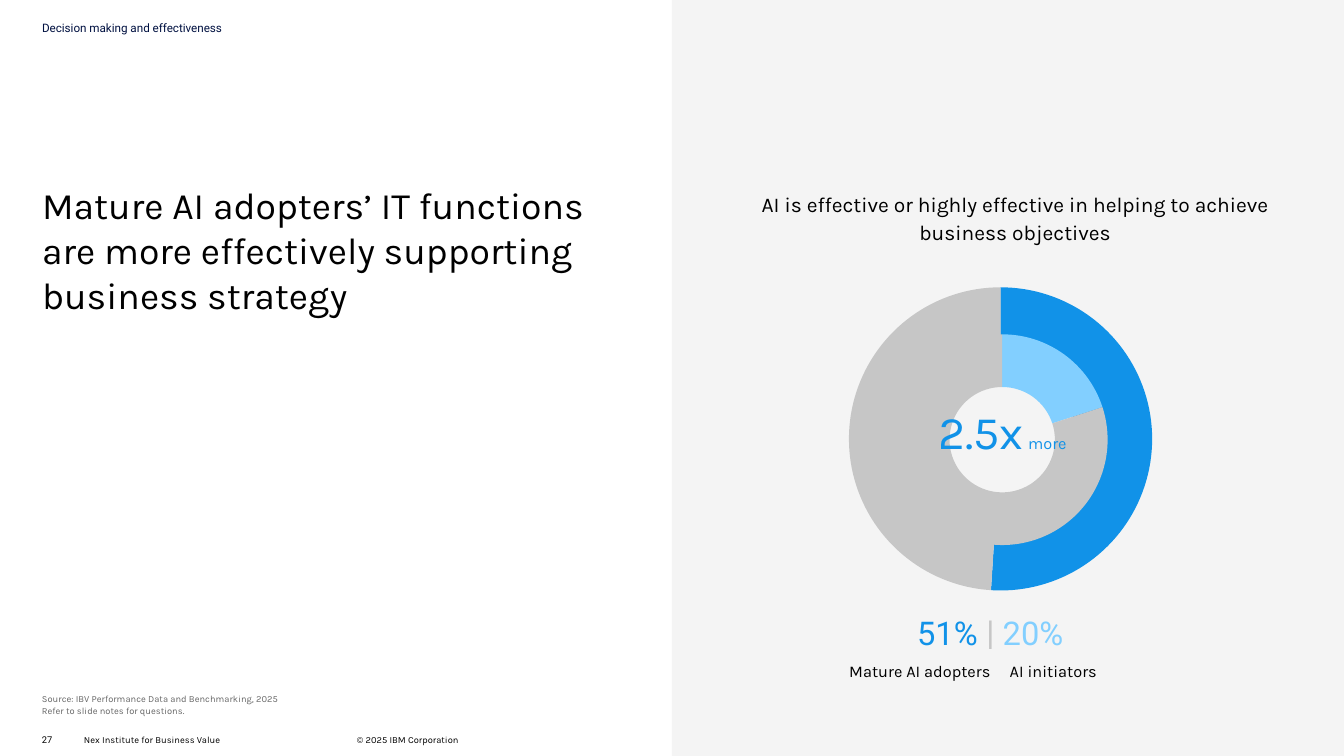
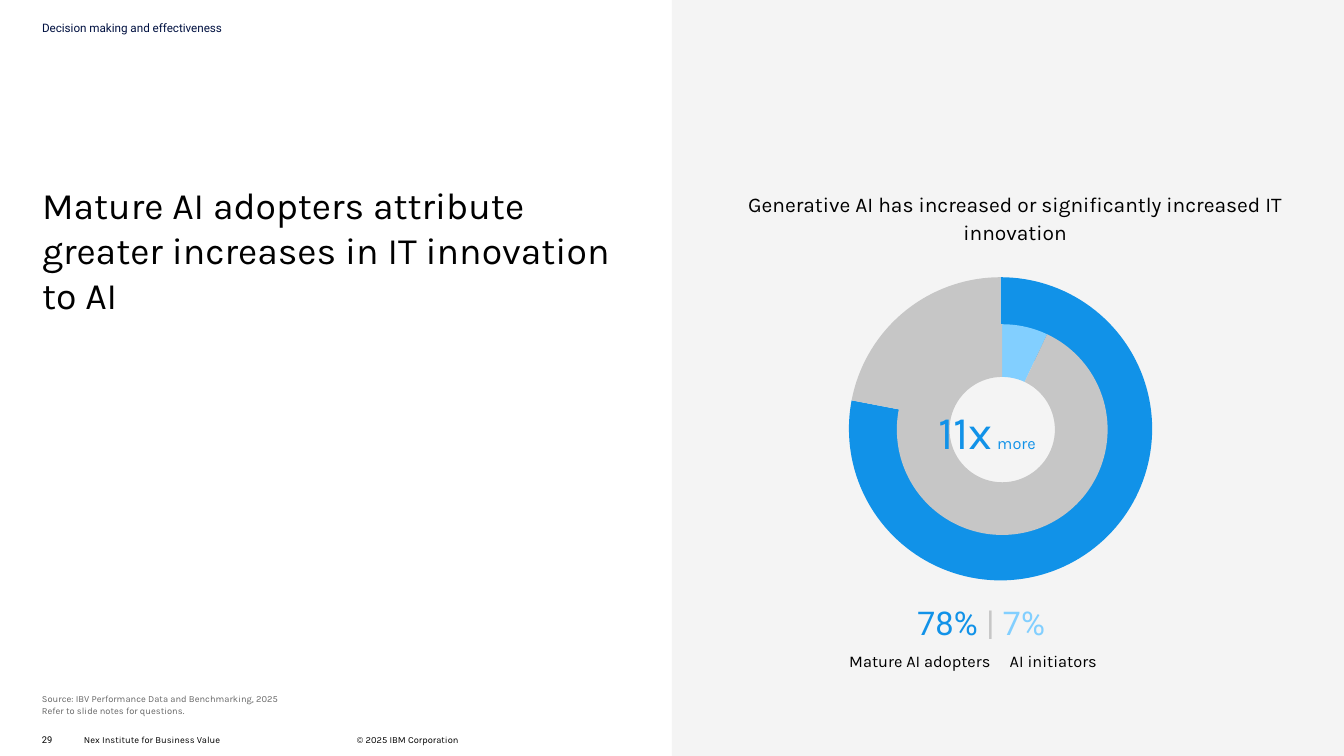
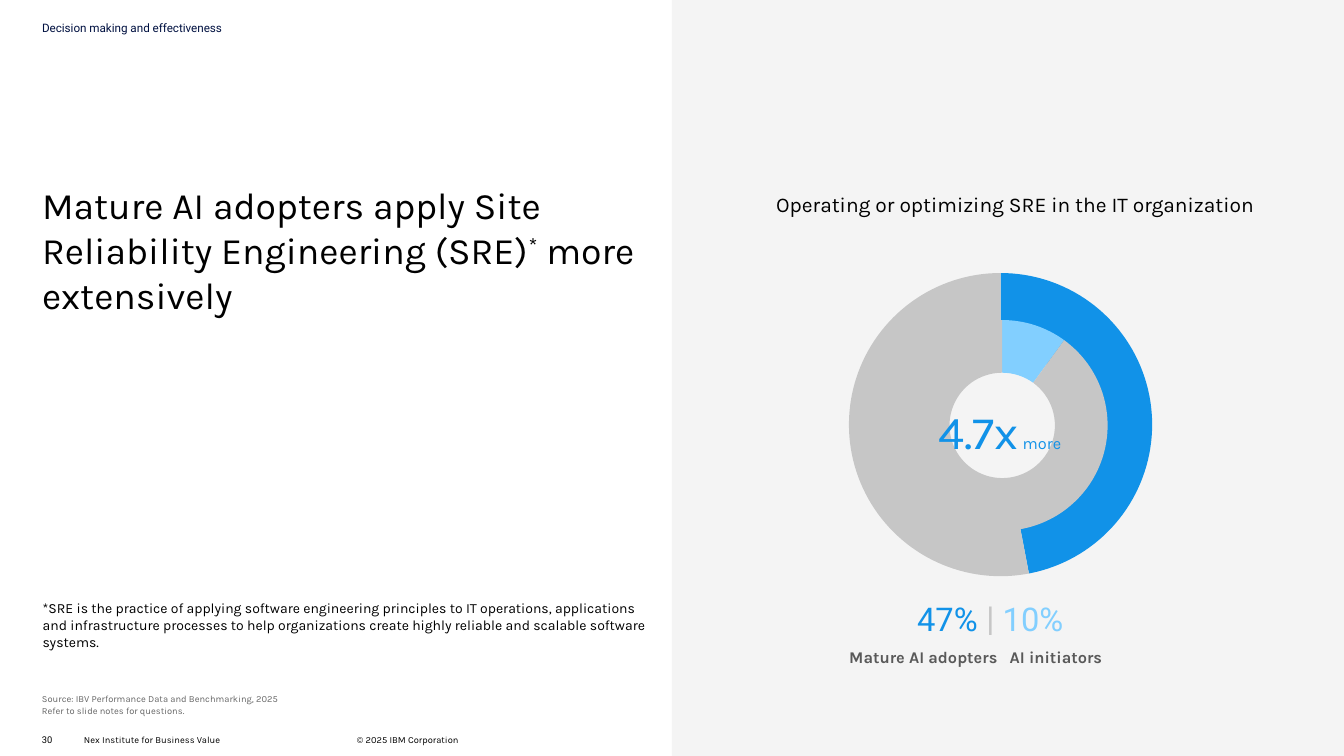
from lxml.etree import fromstring
from pptx import Presentation
from pptx.chart.data import CategoryChartData as Data
from pptx.dml.color import RGBColor
from pptx.enum.chart import XL_CHART_TYPE as Chart
from pptx.enum.shapes import MSO_SHAPE as Shape
from pptx.enum.text import MSO_ANCHOR as Anchor, MSO_AUTO_SIZE as Fit, PP_ALIGN as Align
from pptx.oxml.ns import nsdecls, qn
from pptx.util import Inches, Pt

# Shared colours and text styles
color = RGBColor.from_string
BLACK, GREY, PANEL = "000000", "C6C6C6", "F4F4F4"
BLUE, SKY = "1192E8", "82CFFF"
BASE = dict(size=Pt(14), name="Karla", color=BLACK)
HEAD = dict(size=Pt(32))
NOTE = dict(size=Pt(8), color="666666")
FOOT = dict(size=Pt(8))
PAGE = dict(size=Pt(8), name="Roboto")
TOPIC = dict(size=Pt(10), name="Roboto", color="001141")
LEAD = dict(size=Pt(18))
SMALL = dict(size=Pt(12))
STAT = dict(size=Pt(28), name="Roboto")
FACTOR = dict(size=Pt(40), color=BLUE)
PLAIN, STRONG = {}, dict(bold=True, color="595959")

# Slide contents
SLIDES = [
    dict(page="27", top=3.42, vals=(51, 20), factor="2.5x", label=PLAIN, foot="",
         title=["Mature AI adopters’ IT functions are more effectively supporting business strategy"],
         lead="AI is effective or highly effective in helping to achieve business objectives"),
    dict(page="29", top=3.3, vals=(78, 7), factor="11x", label=PLAIN, foot="",
         title=["Mature AI adopters attribute greater increases in IT innovation to AI"],
         lead="Generative AI has increased or significantly increased IT innovation"),
    dict(page="30", top=3.25, vals=(47, 10), factor="4.7x", label=STRONG,
         title=["Mature AI adopters apply Site Reliability Engineering (SRE)", "*", " more extensively"],
         lead="Operating or optimizing SRE in the IT organization",
         foot="*SRE is the practice of applying software engineering principles to IT operations, "
              "applications and infrastructure processes to help organizations create highly "
              "reliable and scalable software systems."),
]


def write(shape, box, paras, inset=(0, 0), anchor=Anchor.TOP, align=Align.LEFT, line=1.0):
    """Place a shape and fill it; each paragraph is a list of (text, style) runs."""
    shape.left, shape.top, shape.width, shape.height = map(Inches, box)
    frame = shape.text_frame
    frame.margin_left = frame.margin_right = Inches(inset[0])
    frame.margin_top = frame.margin_bottom = Inches(inset[1])
    frame.word_wrap, frame.auto_size, frame.vertical_anchor = True, Fit.NONE, anchor
    for i, runs in enumerate(paras):
        para = frame.add_paragraph() if i else frame.paragraphs[0]
        para.alignment, para.line_spacing = align, line
        para.space_before = Pt(0)
        for text, style in runs:
            run = para.add_run()
            run.text = text
            for key, val in {**BASE, **style}.items():
                if key == "color":
                    run.font.color.rgb = color(val)
                else:
                    setattr(run.font, key, val)


def ring(slide, box, value, fill, hole):
    """Add a clear-backed doughnut showing one share of 100."""
    data = Data()
    data.categories = ["1", "2"]
    data.add_series("Series 1", (value, 100 - value))
    chart = slide.shapes.add_chart(Chart.DOUGHNUT, *map(Inches, box), data).chart
    chart.has_legend = chart.has_title = False
    chart.font.size, chart.font.name = Pt(18), "Karla"
    chart.font.color.rgb = color(BLACK)
    plot = chart.plots[0]
    plot.vary_by_categories = True
    for i, tone in enumerate((fill, GREY)):
        look = plot.series[0].points[i].format
        look.fill.solid()
        look.fill.fore_color.rgb = color(tone)
        look.line.fill.background()

    # Hole size, plot position and clear backgrounds
    root = chart.element if hasattr(chart, "element") else chart._chartSpace
    root.find(".//" + qn("c:holeSize")).set("val", str(hole))
    area = root.find(".//" + qn("c:plotArea"))
    for old in area.findall(qn("c:layout")):
        area.remove(old)
    spots = "".join(f'<c:{key} val="{val}"/>' for key, val in (
        ("layoutTarget", "inner"), ("xMode", "edge"), ("yMode", "edge"),
        ("x", 0.194), ("y", 0), ("w", 0.673), ("h", 0.933)))
    area.insert(0, fromstring(f'<c:layout {nsdecls("c")}><c:manualLayout>{spots}</c:manualLayout></c:layout>'))
    clear = f'<c:spPr {nsdecls("c", "a")}><a:noFill/><a:ln><a:noFill/></a:ln></c:spPr>'
    area.append(fromstring(clear))
    root.find(qn("c:chart")).addnext(fromstring(clear))


deck = Presentation()
deck.slide_width, deck.slide_height = Inches(16), Inches(9)

for item in SLIDES:
    slide = deck.slides.add_slide(deck.slide_layouts[5])
    top, (high, low) = item["top"], item["vals"]

    # Right panel
    panel = slide.shapes.add_shape(Shape.RECTANGLE, *map(Inches, (8, 0, 8, 9)))
    panel.shadow.inherit = False
    panel.fill.solid()
    panel.fill.fore_color.rgb = color(PANEL)
    panel.line.fill.background()

    # Title, with any asterisk raised
    write(slide.shapes.title, (0.5, 2.17, 7.2, 1.25), [[(text, HEAD) for text in item["title"]]])
    for run in slide.shapes.title.text_frame.paragraphs[0].runs:
        if run.text == "*":
            run.font._element.set("baseline", "30000")

    # Rings
    ring(slide, (8.75, top, 5.96, 3.87), high, BLUE, 90)
    ring(slide, (9.81, top + 0.56, 4, 2.69), low, SKY, 85)

    # Texts: box, paragraphs, options
    stats = [(f"{high}% ", {**STAT, "color": BLUE}),
             ("| ", {**STAT, "name": "Karla", "color": GREY}),
             (f"{low}%", {**STAT, "color": SKY})]
    factor = [(item["factor"], FACTOR), (" ", {**FACTOR, "size": Pt(16)}),
              ("more", {**FACTOR, "size": Pt(14)})]
    source = [[("Source: IBV Performance Data and Benchmarking, 2025", NOTE)],
              [("Refer to slide notes for questions.", NOTE)]]
    pad, mid = dict(inset=(0.1, 0.05)), dict(anchor=Anchor.MIDDLE)
    texts = [
        ((0.5, 0.25, 7.25, 0.25), [[("Decision making and effectiveness", TOPIC)]], {}),
        ((8.75, 2.25, 6.67, 0.42), [[(item["lead"], LEAD)]], dict(align=Align.CENTER, line=1.1)),
        ((11.07, 4.75, 1.9, 0.77), [factor], pad),
        ((10.82, top + 3.78, 2.25, 0.92), [stats], dict(line=1.1, **pad)),
        ((10.11, top + 4.45, 1.85, 0.25), [[("Mature AI adopters", item["label"])]], {}),
        ((12.02, top + 4.45, 1.85, 0.25), [[("AI initiators", item["label"])]], {}),
        ((0.5, 8.03, 7.3, 0.5), source, dict(anchor=Anchor.BOTTOM, line=1.1)),
        ((0.5, 8.73, 0.5, 0.28), [[(item["page"], PAGE)]], dict(line=1.1)),
        ((1, 8.69, 2.5, 0.24), [[("Nex Institute for Business Value", FOOT)]], mid),
        ((4.25, 8.69, 2.5, 0.24), [[("© 2025 IBM Corporation", FOOT)]], mid),
    ]
    if item["foot"]:
        texts.append(((0.41, 7.09, 7.45, 0.71), [[(item["foot"], SMALL)]], pad))
    for box, paras, opts in texts:
        write(slide.shapes.add_textbox(*map(Inches, box)), box, paras, **opts)

deck.save("out.pptx")
